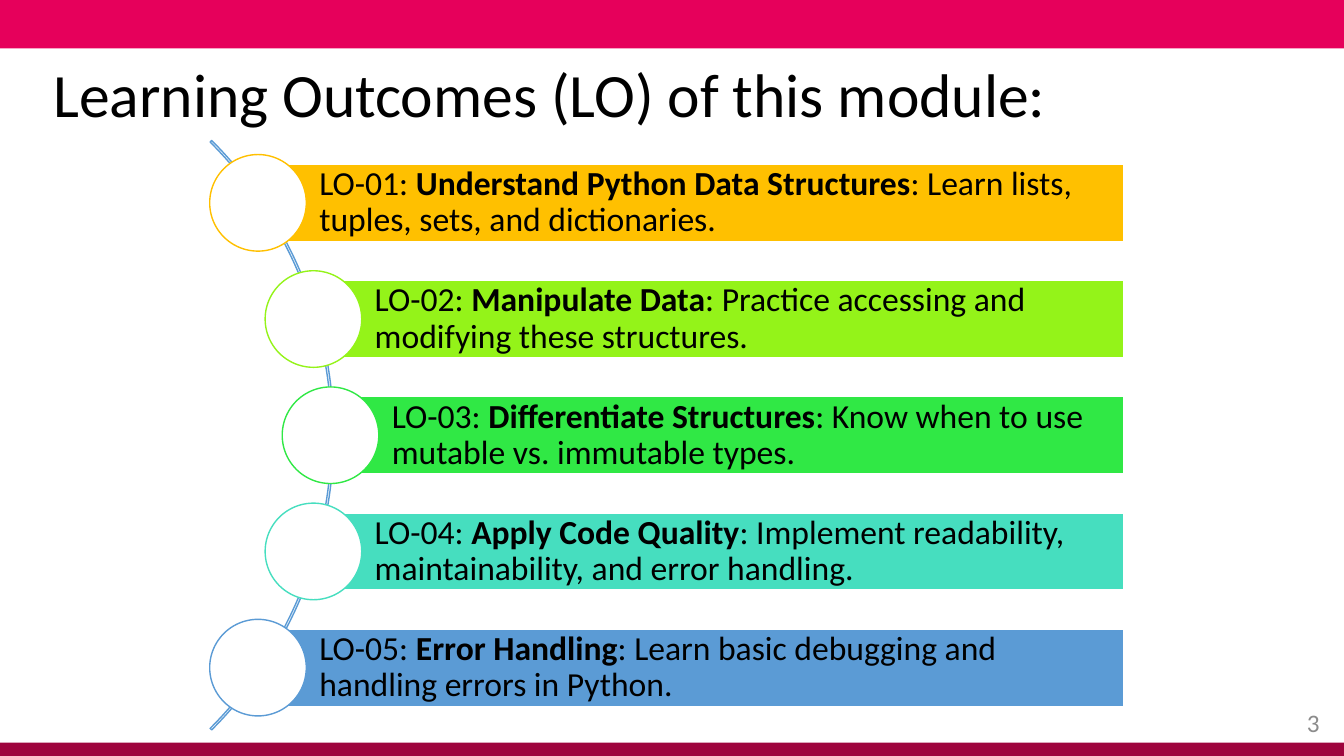
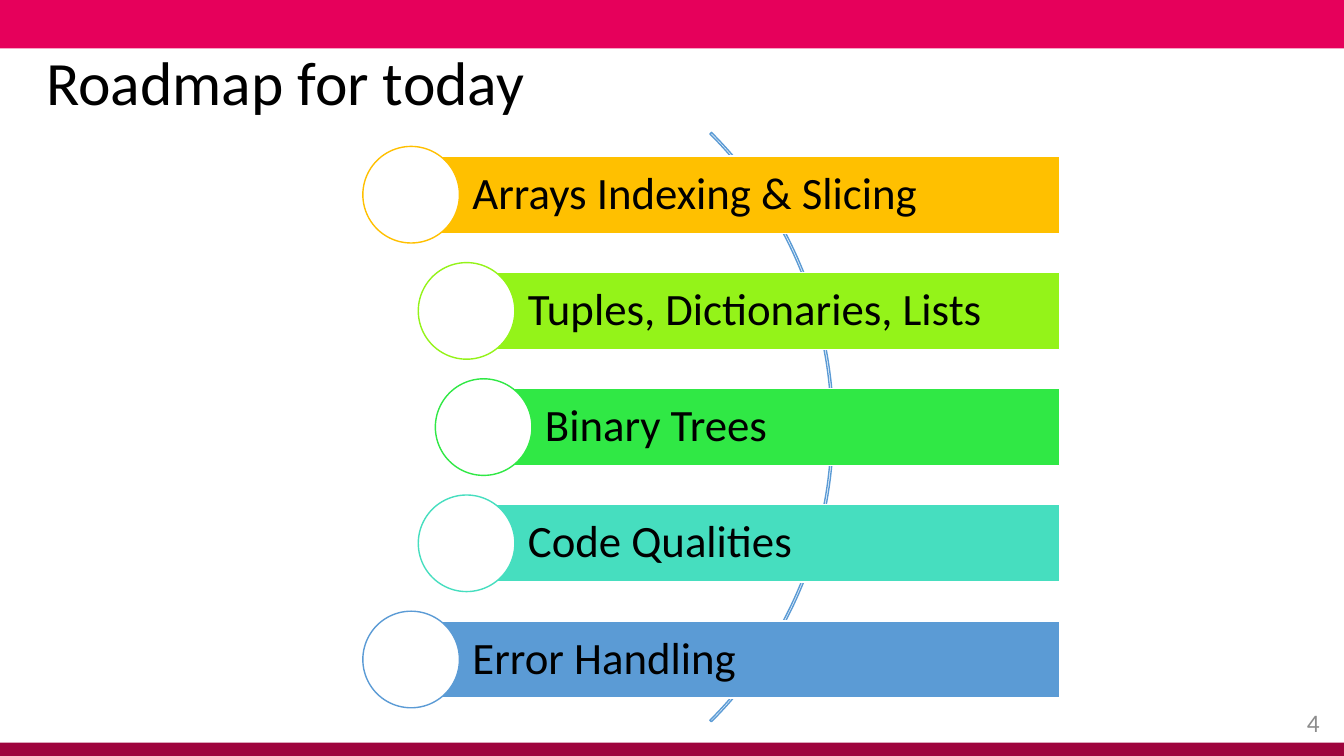
"""Build two module slides: learning outcomes and the roadmap for today."""
from pptx import Presentation
from pptx.dml.color import RGBColor
from pptx.enum.shapes import MSO_SHAPE as SHAPE
from pptx.enum.text import MSO_ANCHOR as ANCHOR, PP_ALIGN as ALIGN
from pptx.util import Pt

WIDTH, HEIGHT = 960, 540
FONT = "Calibri"
BLACK, WHITE, GREY = "000000", "FFFFFF", "8C8C8C"
BAND_TOP, BAND_BOTTOM = "E6005B", "9E043D"
ROW_COLORS = ["FFC000", "94F319", "30E845", "46DEBF", "5B9BD5"]
ROW_INDENTS = [0, 39.6, 51.8, 39.6, 0]
ARC_COLOR, ARC_SIZE = "5B9BD5", 595.4
ARC_ADJUST = (189, 27, 0.00261)
CIRCLE, BAR_HEIGHT, ROW_STEP = 69, 55.2, 83
LIST_HEIGHT = ROW_STEP * (len(ROW_COLORS) - 1) + CIRCLE

OUTCOMES = [
    ("LO-01: ", "Understand Python Data Structures",
     ": Learn lists, tuples, sets, and dictionaries."),
    ("LO-02: ", "Manipulate Data",
     ": Practice accessing and modifying these structures."),
    ("LO-03: ", "Differentiate Structures",
     ": Know when to use mutable vs. immutable types."),
    ("LO-04: ", "Apply Code Quality",
     ": Implement readability, maintainability, and error handling."),
    ("LO-05: ", "Error Handling",
     ": Learn basic debugging and handling errors in Python."),
]
ROADMAP = [
    ("Arrays Indexing & Slicing",),
    ("Tuples, Dictionaries, Lists",),
    ("Binary Trees",),
    ("Code Qualities",),
    ("Error Handling",),
]


def rgb(value):
    """Turn a hex string into a colour."""
    return RGBColor.from_string(value)


def set_format(target, values):
    """Set each named attribute of the target."""
    for name, value in values.items():
        setattr(target, name, value)


def add_shape(shapes, kind, box, fill=None, line=None):
    """Add a flat preset shape; a missing fill or line is left off."""
    sp = shapes.add_shape(kind, *map(Pt, box))
    sp.shadow.inherit = False
    if fill:
        sp.fill.solid()
        sp.fill.fore_color.rgb = rgb(fill)
    else:
        sp.fill.background()
    if line:
        sp.line.color.rgb = rgb(line)
        sp.line.width = Pt(1)
    else:
        sp.line.fill.background()
    return sp


def write(sp, runs, size, color=BLACK, frame=None, para=None):
    """Write one paragraph into a shape; every second run is bold."""
    tf = sp.text_frame
    set_format(tf, {"word_wrap": True, **(frame or {})})
    p = tf.paragraphs[0]
    set_format(p, {"alignment": ALIGN.LEFT, "line_spacing": 0.9, **(para or {})})
    for i, text in enumerate(runs):
        r = p.add_run()
        r.text = text
        set_format(r.font, {"name": FONT, "size": Pt(size), "bold": i % 2 == 1})
        r.font.color.rgb = rgb(color)


def add_frame(s, title, title_box, number):
    """Add the bands, the page number and the title."""
    add_shape(s.shapes, SHAPE.RECTANGLE, (0, 0, WIDTH, 34.6), BAND_TOP)
    add_shape(s.shapes, SHAPE.RECTANGLE, (0, 530.4, WIDTH, 9.6), BAND_BOTTOM)
    sp = s.shapes.add_textbox(*map(Pt, (787.7, 501.8, 162, 28.8)))
    write(sp, [str(number)], 18, GREY,
          para={"alignment": ALIGN.RIGHT, "line_spacing": 1.0})
    sp = s.shapes.add_textbox(*map(Pt, title_box))
    write(sp, [title], 44)


def add_curved_list(s, rows, left, top, width, arc_left, size, inset):
    """Add the arc and its rows of circle and bar inside the given box."""
    shapes = s.shapes.add_group_shape().shapes
    arc_top = top + (LIST_HEIGHT - ARC_SIZE) / 2
    arc = add_shape(shapes, SHAPE.BLOCK_ARC,
                    (arc_left, arc_top, ARC_SIZE, ARC_SIZE), line=ARC_COLOR)
    for i, value in enumerate(ARC_ADJUST):
        arc.adjustments[i] = value
    margins = {f"margin_{side}": Pt(inset) for side in ("top", "right", "bottom")}
    frame = {"vertical_anchor": ANCHOR.MIDDLE, "margin_left": Pt(43.8), **margins}
    for i, (runs, color, indent) in enumerate(zip(rows, ROW_COLORS, ROW_INDENTS)):
        x, y = left + indent, top + i * ROW_STEP
        bar_x = x + CIRCLE / 2
        bar_y = y + (CIRCLE - BAR_HEIGHT) / 2
        bar = add_shape(shapes, SHAPE.RECTANGLE,
                        (bar_x, bar_y, left + width - bar_x, BAR_HEIGHT),
                        color, WHITE)
        write(bar, runs, size, frame=frame)
        add_shape(shapes, SHAPE.OVAL, (x, y, CIRCLE, CIRCLE), WHITE, color)


def main():
    """Build and save the presentation."""
    prs = Presentation()
    set_format(prs, {"slide_width": Pt(WIDTH), "slide_height": Pt(HEIGHT)})
    blank = prs.slide_layouts[6]

    s = prs.slides.add_slide(blank)
    add_frame(s, "Learning Outcomes (LO) of this module:", (31, 42.5, 890, 79), 3)
    add_curved_list(s, OUTCOMES, left=149.8, top=110.4, width=653,
                    arc_left=-357, size=24, inset=4.8)

    s = prs.slides.add_slide(blank)
    add_frame(s, "Roadmap for today", (26, 33.8, 711, 79), 4)
    add_curved_list(s, ROADMAP, left=259.2, top=104.6, width=497.5,
                    arc_left=0, size=32, inset=6.4)

    prs.save("out.pptx")


if __name__ == "__main__":
    main()
